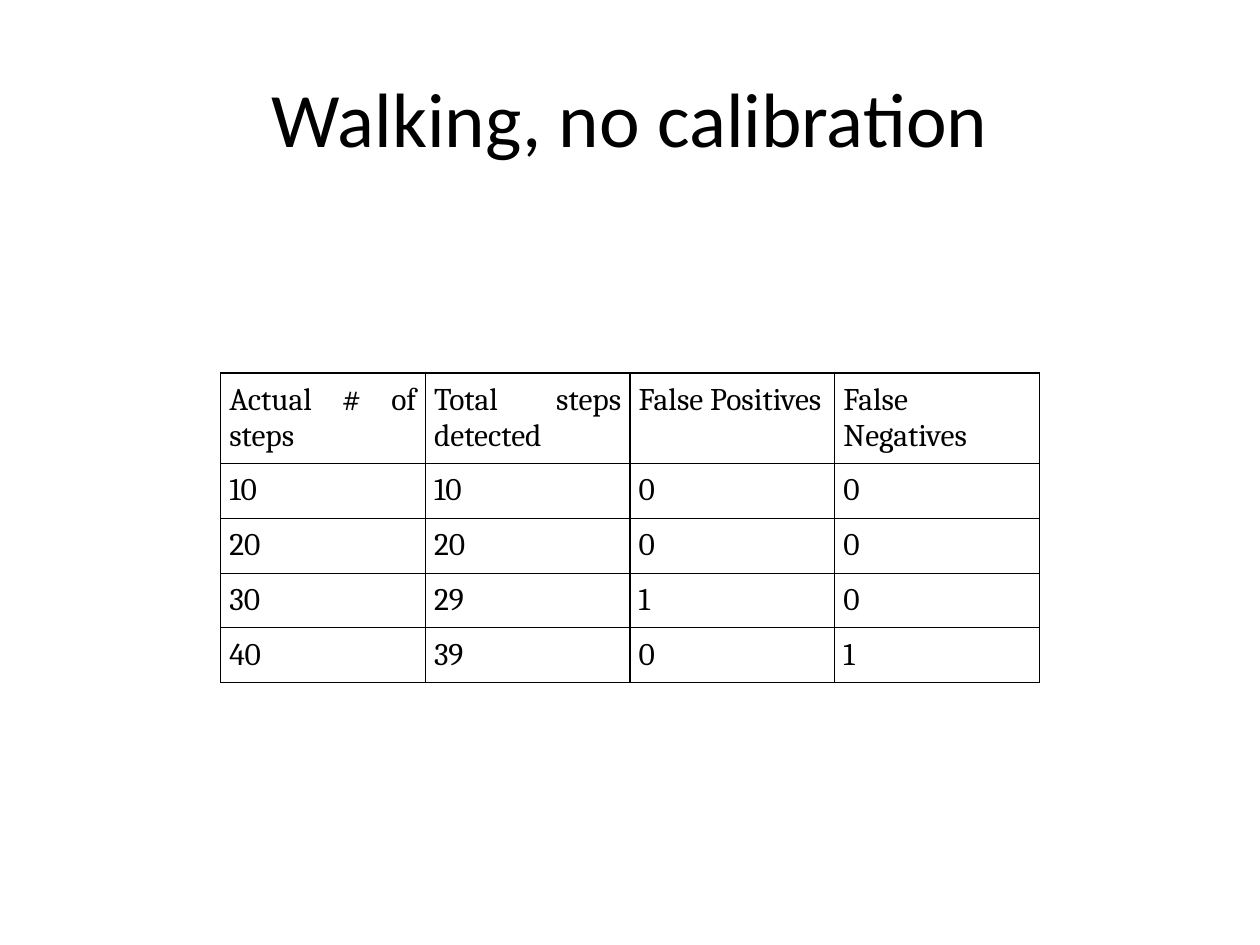
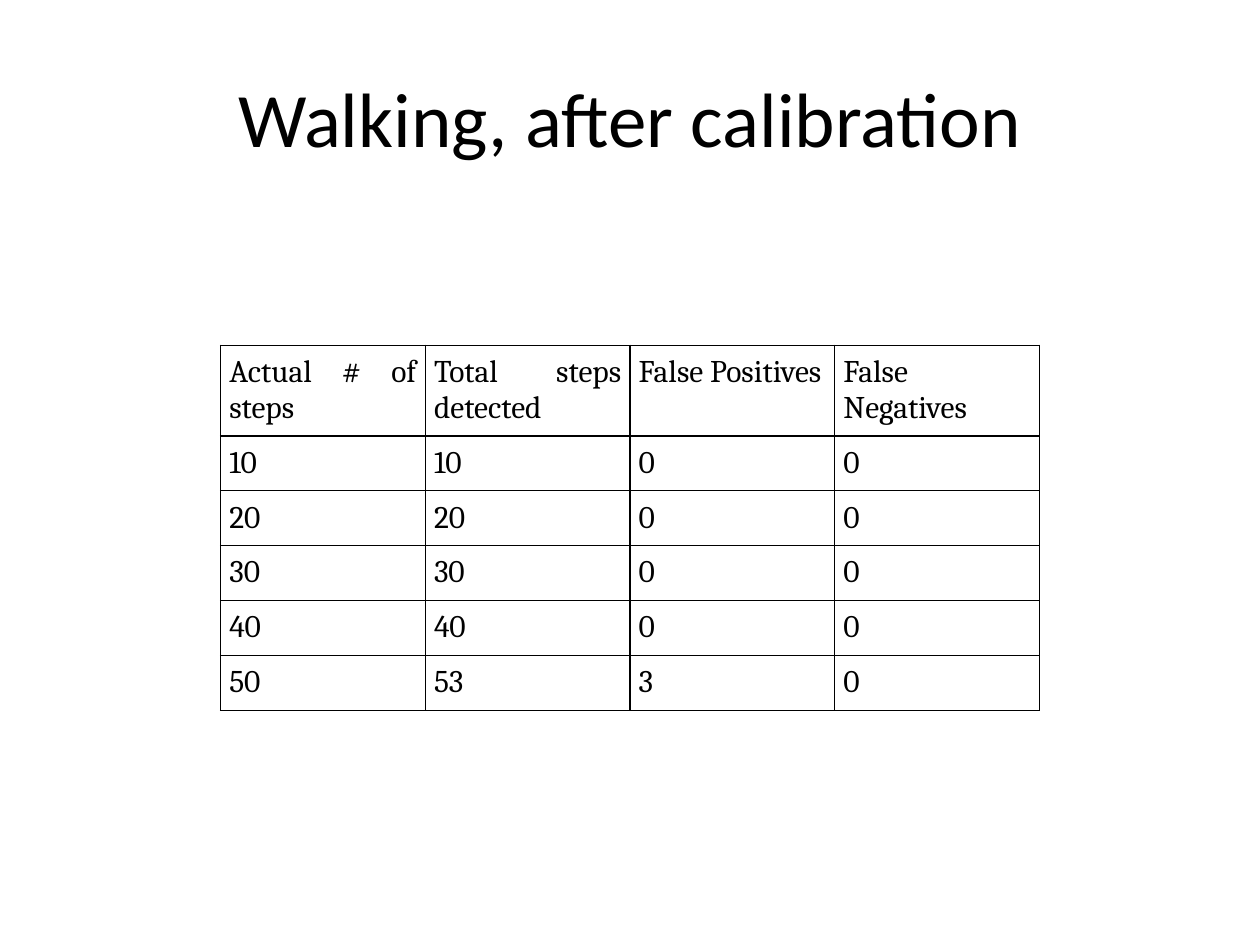
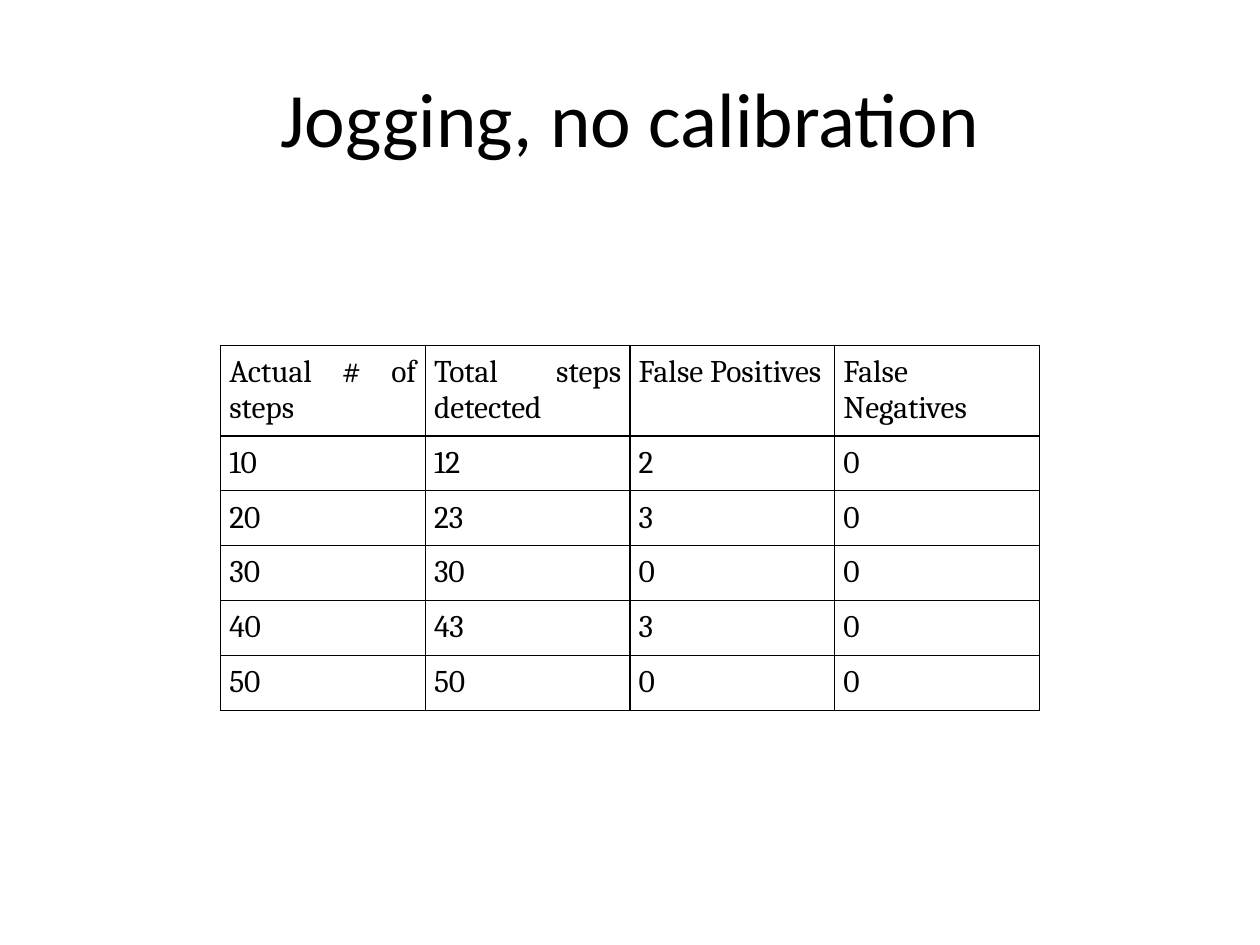
"""Build three slides of step-counter accuracy tables."""
from dataclasses import dataclass

import lxml.etree
import pptx
import pptx.dml.color
import pptx.enum.text
import pptx.oxml.ns
import pptx.presentation
import pptx.slide
import pptx.table
import pptx.text.text
import pptx.util

Inches = pptx.util.Inches
Pt = pptx.util.Pt
Align = pptx.enum.text.PP_ALIGN

INK = pptx.dml.color.RGBColor(0x00, 0x00, 0x00)
PAPER = pptx.dml.color.RGBColor(0xFF, 0xFF, 0xFF)
TITLE_FONT, TITLE_SIZE = "Calibri", Pt(44)
TABLE_FONT, TABLE_SIZE = "Cambria", Pt(18)
TABLE_LEFT, TABLE_WIDTH = Inches(1.75), Inches(6.5)
HEADER_HEIGHT = Inches(0.72)
CELL_MARGIN = Inches(0.07)
BORDER_WIDTH = Pt(0.75)
HEADINGS = ("Actual # of steps", "Total steps detected", "False Positives", "False Negatives")


@dataclass(frozen=True)
class Trial:
    """One test condition with its measured rows and table placement."""

    title: str
    top: float
    height: float
    counts: tuple[tuple[int, int, int, int], ...]


TRIALS = (
    Trial("Walking, no calibration", 2.96, 2.46,
          ((10, 10, 0, 0), (20, 20, 0, 0), (30, 29, 1, 0), (40, 39, 0, 1))),
    Trial("Walking, after calibration", 2.74, 2.9,
          ((10, 10, 0, 0), (20, 20, 0, 0), (30, 30, 0, 0), (40, 40, 0, 0), (50, 53, 3, 0))),
    Trial("Jogging, no calibration", 2.74, 2.9,
          ((10, 12, 2, 0), (20, 23, 3, 0), (30, 30, 0, 0), (40, 43, 3, 0), (50, 50, 0, 0))),
)


def write(frame: pptx.text.text.TextFrame, wording: str, font: str,
          size: pptx.util.Length, alignment: Align) -> None:
    """Write one styled run into the first paragraph of a frame."""
    paragraph = frame.paragraphs[0]
    paragraph.alignment = alignment
    run = paragraph.add_run()
    run.text = wording
    run.font.name = font
    run.font.size = size
    run.font.color.rgb = INK


def draw_borders(cell: pptx.table._Cell) -> None:
    """Rule all four sides of a cell."""
    properties = cell._tc.get_or_add_tcPr()
    qn = pptx.oxml.ns.qn
    for side in ("a:lnL", "a:lnR", "a:lnT", "a:lnB"):
        line = lxml.etree.SubElement(properties, qn(side), w=str(int(BORDER_WIDTH)))
        fill = lxml.etree.SubElement(line, qn("a:solidFill"))
        lxml.etree.SubElement(fill, qn("a:srgbClr"), val=str(INK))


def fill_cell(cell: pptx.table._Cell, wording: str) -> None:
    """Style a cell and write its wording."""
    cell.margin_left = cell.margin_right = CELL_MARGIN
    cell.margin_top = cell.margin_bottom = CELL_MARGIN
    draw_borders(cell)
    cell.fill.background()
    write(cell.text_frame, wording, TABLE_FONT, TABLE_SIZE, Align.JUSTIFY)


def add_results(slide: pptx.slide.Slide, trial: Trial) -> None:
    """Add the table of step counts for a trial."""
    rows = (HEADINGS, *trial.counts)
    height = Inches(trial.height)
    results = slide.shapes.add_table(len(rows), len(HEADINGS), TABLE_LEFT,
                                     Inches(trial.top), TABLE_WIDTH, height).table
    results.first_row = results.horz_banding = False
    body_height = (height - HEADER_HEIGHT) // len(trial.counts)
    for row_index, row in enumerate(rows):
        results.rows[row_index].height = body_height if row_index else HEADER_HEIGHT
        for column_index, entry in enumerate(row):
            fill_cell(results.cell(row_index, column_index), str(entry))


def add_trial(deck: pptx.presentation.Presentation, trial: Trial) -> None:
    """Add a slide with the title and results of a trial."""
    slide = deck.slides.add_slide(deck.slide_layouts.get_by_name("Title Only"))
    title = slide.shapes.title
    title.left, title.top = Inches(0.5), Inches(0.3)
    title.width, title.height = Inches(9), Inches(1.25)
    title.text_frame.vertical_anchor = pptx.enum.text.MSO_ANCHOR.MIDDLE
    write(title.text_frame, trial.title, TITLE_FONT, TITLE_SIZE, Align.CENTER)
    add_results(slide, trial)


def main() -> None:
    """Build and save the deck."""
    deck = pptx.Presentation()
    deck.slide_width, deck.slide_height = Inches(10), Inches(7.5)
    background = deck.slide_master.background.fill
    background.solid()
    background.fore_color.rgb = PAPER
    for trial in TRIALS:
        add_trial(deck, trial)
    deck.save("out.pptx")


if __name__ == "__main__":
    main()
